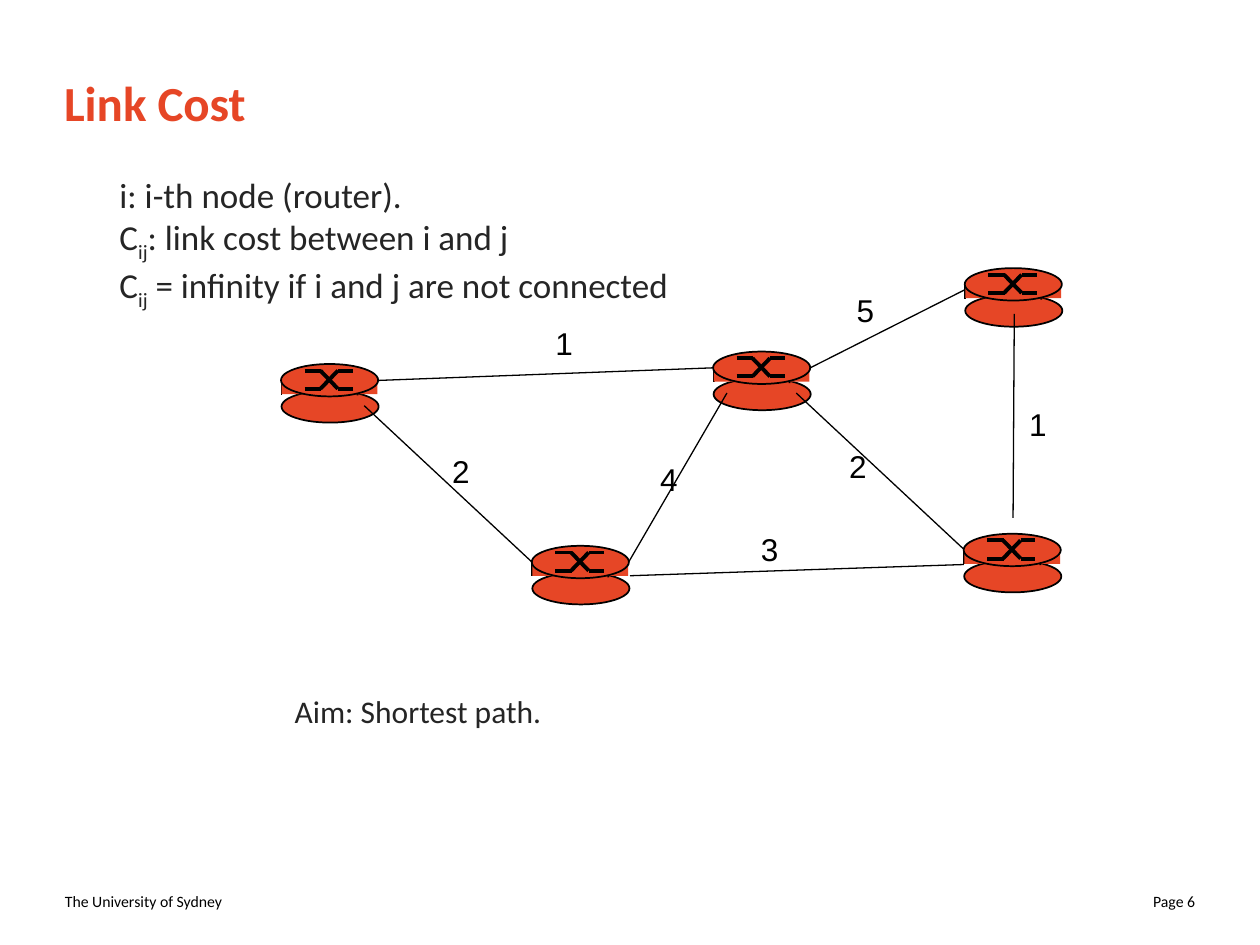
from lxml import etree
from pptx import Presentation
from pptx.dml.color import RGBColor
from pptx.enum.shapes import MSO_CONNECTOR as CONNECTOR, MSO_SHAPE as SHAPE
from pptx.enum.text import MSO_ANCHOR as ANCHOR, PP_ALIGN as ALIGN
from pptx.oxml.ns import qn
from pptx.util import Pt

COLORS = {"accent": "E64626", "body": "252525", "black": "000000"}

ROUTER_SIZE = (55.5, 33.5)
ROUTERS = [(407.5, 200.9), (160.6, 208), (550.7, 305), (303.9, 311.9), (551.3, 153.2)]

# Each link: start, end, position of its cost label, cost
LINKS = [
    ((216.2, 217.4), (407.5, 210.2), (310.3, 181.5), "1"),
    ((463, 210.2), (551.3, 165.6), (482.4, 162.7), "5"),
    ((208.1, 231.8), (303.9, 321.1), (251.3, 254.9), "2"),
    ((359.3, 321.1), (415.4, 224.6), (370.1, 259.2), "4"),
    ((455, 224.6), (550.8, 313.9), (478.1, 252), "2"),
    ((360, 329), (550.8, 322.6), (427.7, 299.5), "3"),
    ((579.6, 179.3), (578.9, 295.9), (581, 228.2), "1"),
]


def color(name):
    return RGBColor.from_string(COLORS[name])


def add_line(shapes, start, end, width):
    line = shapes.add_connector(CONNECTOR.STRAIGHT, *map(Pt, start + end))
    line.line.color.rgb = color("black")
    line.line.width = Pt(width)
    etree.SubElement(line._element.spPr, qn("a:effectLst"))


def add_router_part(shapes, kind, box, outlined=True):
    shape = shapes.add_shape(kind, *map(Pt, box))
    shape.shadow.inherit = False
    shape.fill.solid()
    shape.fill.fore_color.rgb = color("accent")
    if outlined:
        shape.line.color.rgb = color("black")
        shape.line.width = Pt(1)
    else:
        shape.line.fill.background()


def add_router(slide, left, top):
    """Draw a drum with a crossed-paths symbol on its lid."""
    shapes = slide.shapes.add_group_shape().shapes
    width, height = ROUTER_SIZE

    def line(x1, y1, x2, y2, weight):
        add_line(shapes, (left + x1, top + y1), (left + x2, top + y2), weight)

    add_router_part(shapes, SHAPE.OVAL, (left + 0.3, top + height - 18.3, width, 18.3))
    line(0.3, 7.9, 0.3, 17.5, 1)
    line(43.4, 8.5, 43.7, 18, 1)
    add_router_part(shapes, SHAPE.RECTANGLE, (left + 0.4, top + 7.7, 54.7, 9.5), outlined=False)
    add_router_part(shapes, SHAPE.OVAL, (left, top, width, 18.5))

    upper, lower = 3.8, 14.2
    for begin, finish in ((upper, lower), (lower, upper)):
        line(13.5, begin, 23, begin, 2.25)
        line(22.5, begin, 32.5, finish, 2.25)
        line(32.5, finish, 41, finish, 2.25)


def add_text(slide, box, lines, size, color_name="black", font="Calibri",
             bold=False, align=ALIGN.LEFT, anchor=ANCHOR.TOP):
    """Each line is a list of (text, is_subscript) runs."""
    frame = slide.shapes.add_textbox(*map(Pt, box)).text_frame
    frame.word_wrap = True
    frame.vertical_anchor = anchor
    for index, runs in enumerate(lines):
        paragraph = frame.add_paragraph() if index else frame.paragraphs[0]
        paragraph.alignment = align
        for text, is_subscript in runs:
            run = paragraph.add_run()
            run.text = text
            run.font.name = font
            run.font.size = Pt(size)
            run.font.bold = bold
            run.font.color.rgb = color(color_name)
            if is_subscript:
                run._r.get_or_add_rPr().set("baseline", "-25000")


def add_footer(slide, left, top, width, height):
    part_width = 168
    for text, x, align in (
        ("The University of Sydney", left, ALIGN.LEFT),
        ("Page 6", left + width - part_width, ALIGN.RIGHT),
    ):
        add_text(slide, (x, top, part_width, height), [[(text, False)]], 9,
                 align=align, anchor=ANCHOR.MIDDLE)


def add_network(slide):
    for left, top in ROUTERS:
        add_router(slide, left, top)
    for start, end, _, _ in LINKS:
        add_line(slide.shapes, start, end, 0.75)
    for _, _, position, cost in LINKS:
        add_text(slide, position + (24.5, 28.8), [[(cost, False)]], 18, font="Arial")


def add_definitions(slide, box):
    cost = [("C", False), ("ij", True)]
    add_text(slide, box, [
        [("i: i-th node (router).", False)],
        cost + [(": link cost between i and j", False)],
        cost + [(" = infinity if i and j are not connected", False)],
    ], 20, "body")


def main():
    presentation = Presentation()
    presentation.slide_width, presentation.slide_height = Pt(720), Pt(540)
    slide = presentation.slides.add_slide(presentation.slide_layouts[6])
    add_footer(slide, 30, 500.4, 660, 28.8)
    add_text(slide, (29.5, 41, 655, 34), [[("Link Cost", False)]], 28, "accent",
             bold=True, anchor=ANCHOR.MIDDLE)
    add_network(slide)
    add_text(slide, (161.3, 391.7, 183.6, 28.8), [[("Aim: Shortest path.", False)]], 18, "body")
    add_definitions(slide, (61.2, 95.8, 333.4, 104.4))
    presentation.save("out.pptx")


if __name__ == "__main__":
    main()
